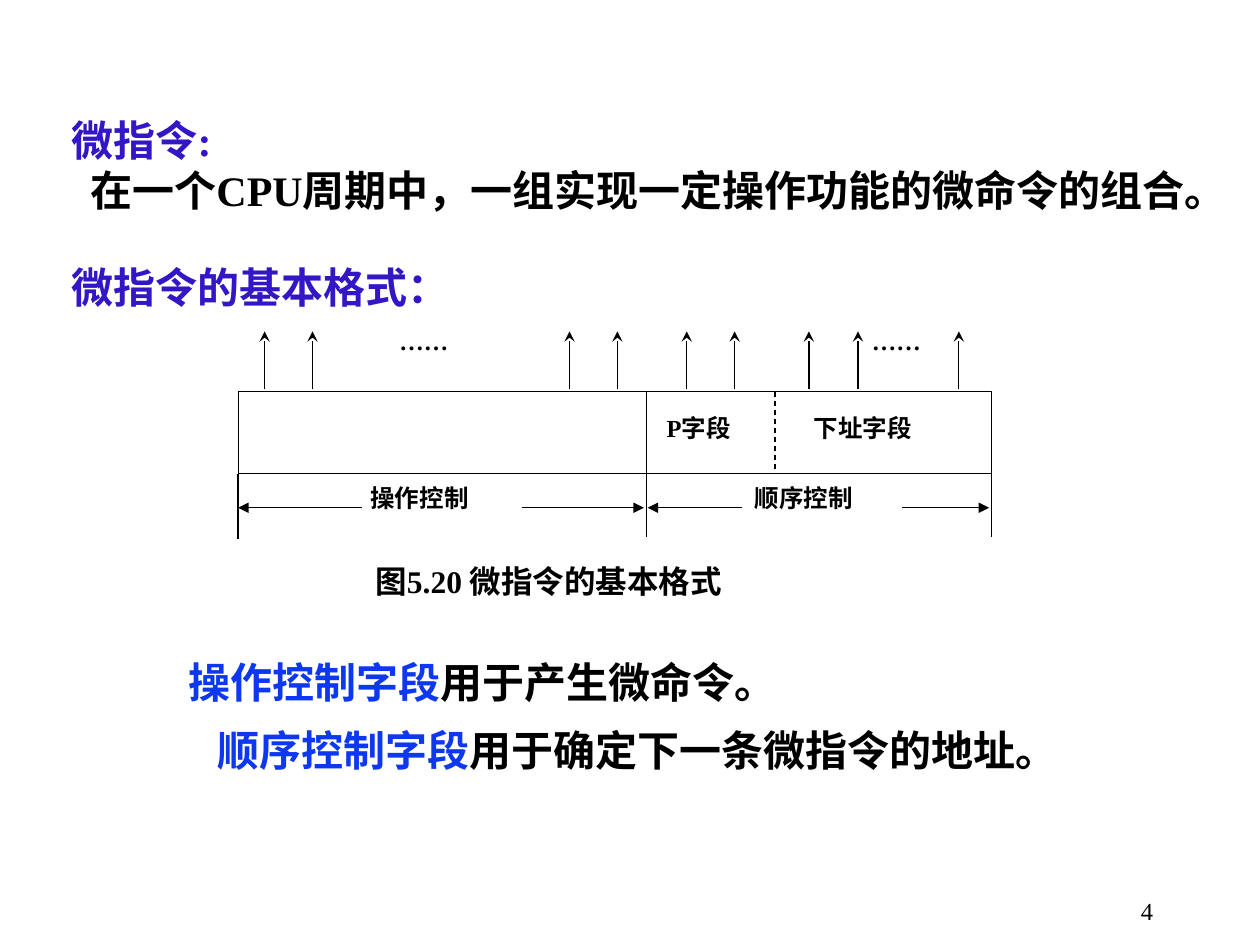
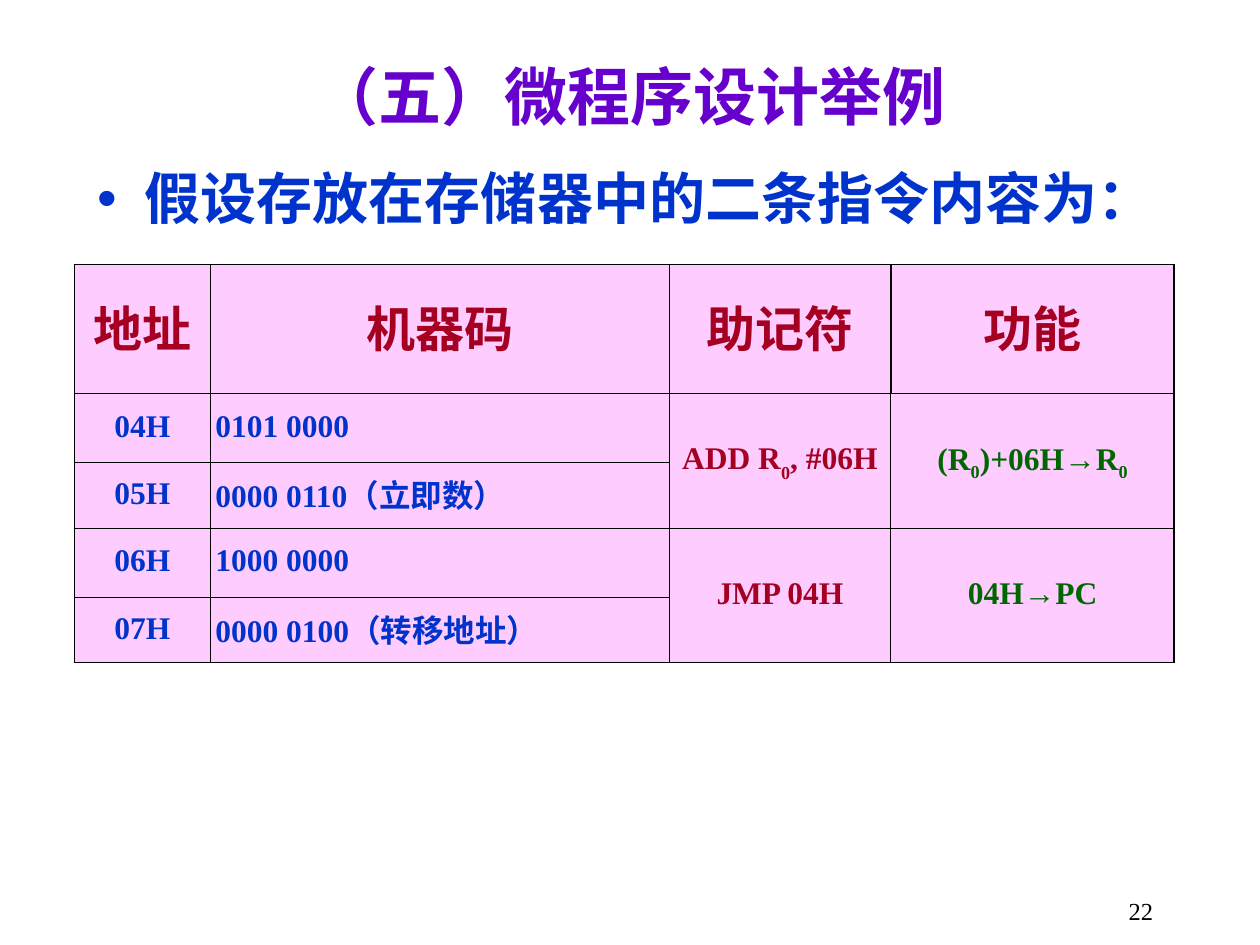
"""Build two slides on microinstruction format and a microprogram design example."""
from pptx import Presentation
from pptx.dml.color import RGBColor
from pptx.enum.dml import MSO_LINE_DASH_STYLE as Dash
from pptx.enum.lang import MSO_LANGUAGE_ID as Language
from pptx.enum.shapes import MSO_CONNECTOR as Connector, MSO_SHAPE as Shape
from pptx.enum.text import MSO_ANCHOR as Anchor, MSO_AUTO_SIZE as AutoSize, PP_ALIGN as Align
from pptx.oxml.ns import qn
from pptx.util import Inches, Pt
from lxml.etree import SubElement

BLACK = RGBColor(0x00, 0x00, 0x00)
WHITE = RGBColor(0xFF, 0xFF, 0xFF)
VIOLET = RGBColor(0x33, 0x16, 0xC6)
BRIGHT_BLUE = RGBColor(0x0D, 0x38, 0xEF)
PURPLE = RGBColor(0x66, 0x00, 0xCC)
BLUE = RGBColor(0x00, 0x33, 0xCC)
RED = RGBColor(0xA5, 0x00, 0x21)
GREEN = RGBColor(0x00, 0x66, 0x00)
PINK = RGBColor(0xFF, 0xCC, 0xFF)

BASE_FONT = {"name": "Times New Roman", "bold": True,
             "language_id": Language.SIMPLIFIED_CHINESE}
PLAIN_FRAME = {"word_wrap": True, "auto_size": AutoSize.NONE}
BOX_MARGINS = (0.1, 0.05)
THIN, THICK = 0.45, 1.08

BAR_LEFT, BAR_SPLIT, BAR_RIGHT = 1.89, 5.13, 7.87
BAR_TOP, BAR_BOTTOM, SPAN_Y = 3.11, 3.76, 4.03
FIELD_SPLIT = 6.15
SIGNAL_XS = (2.1, 2.48, 4.52, 4.9, 5.45, 5.83, 6.42, 6.81, 7.61)
LABELS = (("P字段", 5.29, 3.28, 0.8), ("下址字段", 6.46, 3.28, 1.13),
          ("操作控制", 2.94, 3.83, 1.21), ("顺序控制", 5.99, 3.83, 1.21),
          ("……", 3.17, 2.59, 0.61), ("……", 6.92, 2.59, 0.61))

COLUMN_WIDTHS = (1.08, 3.64, 1.76, 2.25)
ROW_HEIGHTS = (1.02, 0.55, 0.52, 0.55, 0.52)
HEADINGS = ("地址", "机器码", "助记符", "功能")
CODES = (("04H", "0101 0000"), ("05H", "0000 0110（立即数）"),
         ("06H", "1000 0000"), ("07H", "0000 0100（转移地址）"))
ARROW = ("→", {"name": "Arial"})
MNEMONICS = ([("ADD R", {}), ("0", {"baseline": -30000}), (", #06H", {})],
             [("JMP 04H", {})])
EFFECTS = ([("(R", {}), ("0", {"baseline": -25000}), (")+06H", {}), ARROW,
            ("R", {}), ("0", {"baseline": -25000})],
           [("04H", {}), ARROW, ("PC", {})])


def apply(target, values):
    """Set each named attribute of the target."""
    for name, value in values.items():
        setattr(target, name, value)


def add_span(para, text, size, color, **extra):
    """Add one run of formatted text to a paragraph."""
    span = para.add_run()
    span.text = text
    baseline = extra.pop("baseline", None)
    apply(span.font, {**BASE_FONT, "size": Pt(size), **extra})
    span.font.color.rgb = color
    if baseline:
        span.font._element.set("baseline", str(baseline))


def set_indent(para, first, left=0):
    """Set the first-line and left indents of a paragraph."""
    properties = para._p.get_or_add_pPr()
    properties.set("marL", str(Inches(left)))
    properties.set("indent", str(Inches(first)))


def place(shape, left, top, width, height):
    """Move and size a shape, in inches."""
    apply(shape, {"left": Inches(left), "top": Inches(top),
                  "width": Inches(width), "height": Inches(height)})


def set_margins(target, across, down):
    """Set equal side margins and equal top and bottom margins."""
    apply(target, {"margin_left": Inches(across), "margin_right": Inches(across),
                   "margin_top": Inches(down), "margin_bottom": Inches(down)})


def add_text(page, left, top, width, height, lines, margins=BOX_MARGINS):
    """Add a text box whose lines are (first indent, spans) pairs."""
    box = page.shapes.add_textbox(*map(Inches, (left, top, width, height)))
    frame = box.text_frame
    apply(frame, PLAIN_FRAME)
    set_margins(frame, *margins)
    for number, (indent, spans) in enumerate(lines):
        para = frame.add_paragraph() if number else frame.paragraphs[0]
        set_indent(para, indent)
        for span in spans:
            add_span(para, *span)
    return box


def add_line(page, start, end, head=None, dash=None):
    """Draw a thin black line with an optional arrowhead at its end."""
    line = page.shapes.add_connector(Connector.STRAIGHT, *map(Inches, (*start, *end)))
    line.line.color.rgb = BLACK
    line.line.width = Pt(0.75)
    if dash:
        line.line.dash_style = dash
    if head:
        SubElement(line.line._get_or_add_ln(), qn("a:tailEnd"), type=head)
    SubElement(line._element.spPr, qn("a:effectLst"))


def add_page_number(page, number):
    """Write the page number at the lower right."""
    box = add_text(page, 7.17, 7.06, 2.08, 0.28, [(0, [])])
    para = box.text_frame.paragraphs[0]
    para.alignment = Align.RIGHT
    add_span(para, str(number), 14, BLACK, bold=False)


def fill_placeholder(shape, position, text, size, color, anchor):
    """Place a placeholder and give it one formatted paragraph."""
    place(shape, *position)
    frame = shape.text_frame
    apply(frame, {**PLAIN_FRAME, "vertical_anchor": anchor})
    para = frame.paragraphs[0]
    add_span(para, text, size, color)
    return para


def add_bullet(para, color):
    """Give a paragraph a coloured round bullet."""
    set_indent(para, -0.38, 0.38)
    properties = para._p.get_or_add_pPr()
    bullet_color = SubElement(properties, qn("a:buClr"))
    SubElement(bullet_color, qn("a:srgbClr"), val=str(color))
    SubElement(properties, qn("a:buFont"), typeface="Arial")
    SubElement(properties, qn("a:buChar"), char="•")


def set_borders(cell, row, column):
    """Draw thick lines on the table's edge and beside the last heading."""
    last_row, last_column = len(ROW_HEIGHTS) - 1, len(COLUMN_WIDTHS) - 1
    thick = {"L": column == 0 or (row, column) == (0, last_column),
             "R": column == last_column or (row, column) == (0, last_column - 1),
             "T": row == 0, "B": row == last_row}
    for side, is_thick in thick.items():
        width = Pt(THICK if is_thick else THIN)
        border = SubElement(cell._tc.get_or_add_tcPr(), qn(f"a:ln{side}"), w=str(width))
        fill = SubElement(border, qn("a:solidFill"))
        SubElement(fill, qn("a:srgbClr"), val=str(BLACK))


def fill_cell(cell, spans, size, color, align=Align.CENTER):
    """Write spans into a table cell."""
    para = cell.text_frame.paragraphs[0]
    apply(para, {"alignment": align, "line_spacing": 0.9,
                 "space_after": Pt(size / 4)})
    for text, extra in spans:
        add_span(para, text, size, color, **extra)


def add_instruction_table(page):
    """Add the table of the two stored instructions."""
    frame = page.shapes.add_table(
        len(ROW_HEIGHTS), len(COLUMN_WIDTHS), Inches(0.59), Inches(2.1),
        Inches(sum(COLUMN_WIDTHS)), Inches(sum(ROW_HEIGHTS)))
    table = frame.table
    for column, width in zip(table.columns, COLUMN_WIDTHS):
        column.width = Inches(width)
    for number, height in enumerate(ROW_HEIGHTS):
        table.rows[number].height = Inches(height)
        for column in range(len(COLUMN_WIDTHS)):
            cell = table.cell(number, column)
            set_borders(cell, number, column)
            cell.fill.solid()
            cell.fill.fore_color.rgb = PINK
            set_margins(cell, 0.04, 0.05)
            cell.vertical_anchor = Anchor.MIDDLE
    for column, heading in enumerate(HEADINGS):
        fill_cell(table.cell(0, column), [(heading, {})], 28, RED)
    for row, (address, code) in enumerate(CODES, 1):
        fill_cell(table.cell(row, 0), [(address, {})], 18, BLUE)
        fill_cell(table.cell(row, 1), [(code, {})], 18, BLUE, Align.LEFT)
    for column, entries, color in ((2, MNEMONICS, RED), (3, EFFECTS, GREEN)):
        for row, spans in zip((1, 3), entries):
            table.cell(row, column).merge(table.cell(row + 1, column))
            fill_cell(table.cell(row, column), spans, 18, color)


def add_format_diagram(page):
    """Draw the instruction word with its fields and control signals."""
    bar = page.shapes.add_shape(Shape.RECTANGLE, 0, 0, 0, 0)
    place(bar, BAR_LEFT, BAR_TOP, BAR_RIGHT - BAR_LEFT, BAR_BOTTOM - BAR_TOP)
    bar.shadow.inherit = False
    bar.fill.solid()
    bar.fill.fore_color.rgb = WHITE
    bar.line.color.rgb = BLACK
    bar.line.width = Pt(0.75)

    add_line(page, (FIELD_SPLIT, BAR_TOP), (FIELD_SPLIT, BAR_BOTTOM), dash=Dash.DASH)
    for x, top, bottom in ((BAR_LEFT, BAR_BOTTOM, 4.28), (BAR_SPLIT, BAR_TOP, 4.26),
                           (BAR_RIGHT, BAR_BOTTOM, 4.26)):
        add_line(page, (x, top), (x, bottom))
    for start, end in ((2.87, BAR_LEFT), (4.14, 5.11), (5.89, 5.14), (7.16, 7.85)):
        add_line(page, (start, SPAN_Y), (end, SPAN_Y), "triangle")
    for x in SIGNAL_XS:
        add_line(page, (x, 3.09), (x, 2.63), "stealth")
    for text, left, top, width in LABELS:
        add_text(page, left, top, width, 0.5, [(0, [(text, 14, BLACK)])], (0, 0))
    add_text(page, 2.98, 4.46, 4.12, 0.73,
             [(0, [("图5.20 微指令的基本格式", 18, BLACK)])], (0, 0))


def build_format_page(deck):
    """Build the page that defines a microinstruction."""
    page = deck.slides.add_slide(deck.slide_layouts[6])
    definition = "在一个CPU周期中，一组实现一定操作功能的微命令的组合。"
    add_text(page, 0.47, 0.86, 9.14, 1.3,
             [(0, [("微指令:", 24, VIOLET)]), (0.15, [(definition, 24, BLACK)])])
    add_text(page, 0.47, 2.03, 9.14, 0.5, [(0, [("微指令的基本格式：", 24, VIOLET)])])
    add_format_diagram(page)
    for left, top, indent, field, purpose in (
            (1.09, 5.16, 0.31, "操作控制字段", "用于产生微命令。"),
            (1.56, 5.7, 0.07, "顺序控制字段", "用于确定下一条微指令的地址。")):
        add_text(page, left, top, 8, 0.5,
                 [(indent, [(field, 24, BRIGHT_BLUE), (purpose, 24, BLACK)])])
    add_page_number(page, 4)


def build_example_page(deck):
    """Build the page with the microprogram design example."""
    page = deck.slides.add_slide(deck.slide_layouts[1])
    title = fill_placeholder(page.shapes.title, (0.75, 0.36, 8.5, 0.8),
                             "（五）微程序设计举例", 36, PURPLE, Anchor.MIDDLE)
    title.alignment = Align.CENTER
    body = fill_placeholder(page.placeholders[1], (0.67, 1.31, 8.66, 0.79),
                            "假设存放在存储器中的二条指令内容为：", 32, BLUE, Anchor.TOP)
    add_bullet(body, BLUE)
    apply(body, {"line_spacing": 0.9, "space_before": Pt(0), "space_after": Pt(8)})
    add_instruction_table(page)
    add_page_number(page, 22)


def main():
    """Build and save the deck."""
    deck = Presentation()
    apply(deck, {"slide_width": Inches(10), "slide_height": Inches(7.5)})
    build_format_page(deck)
    build_example_page(deck)
    deck.save("out.pptx")


if __name__ == "__main__":
    main()
